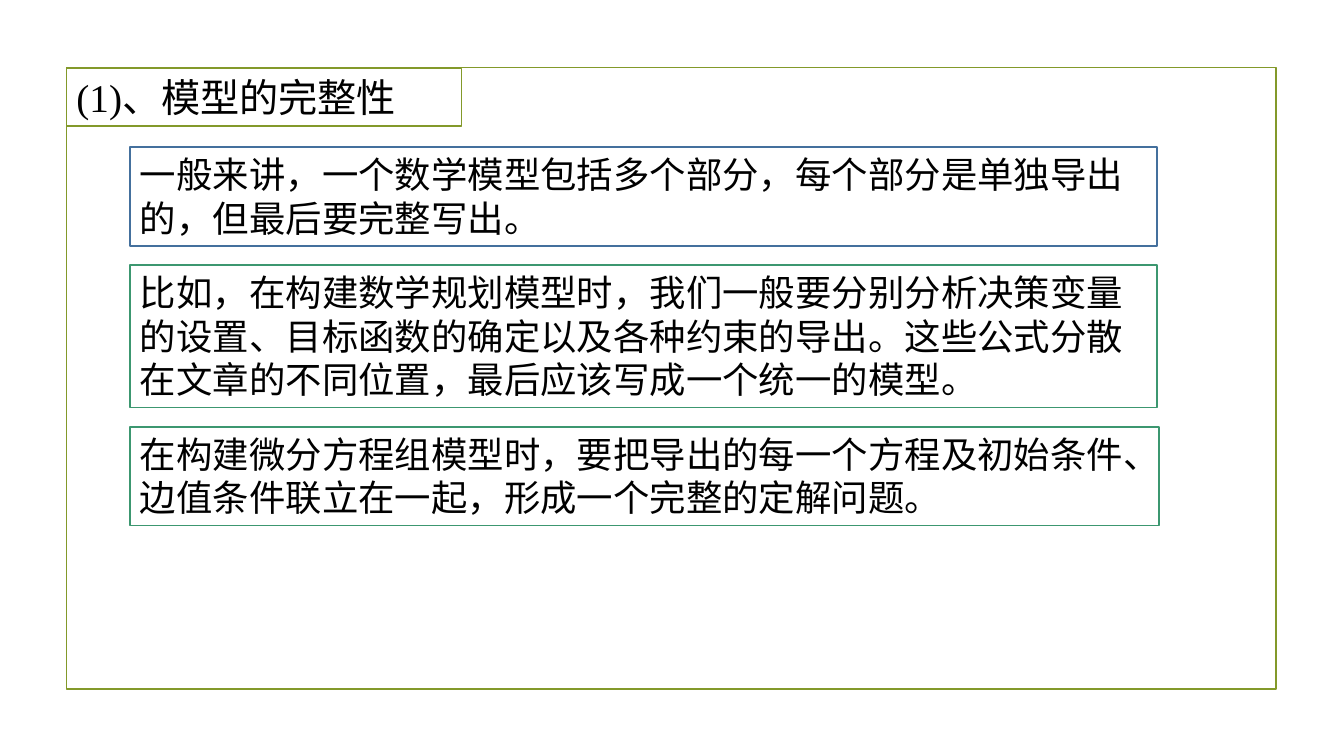
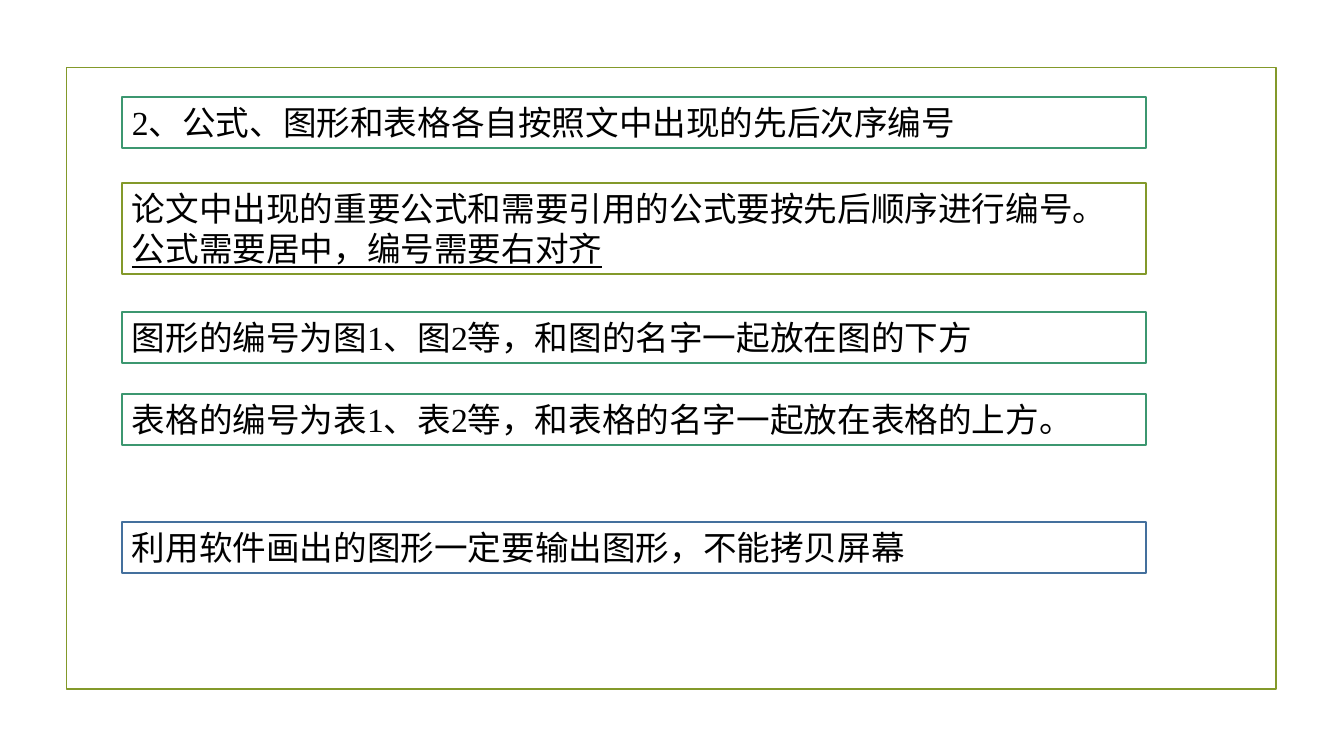
from dataclasses import dataclass

from lxml.etree import SubElement
from pptx import Presentation
from pptx.dml.color import RGBColor
from pptx.enum.shapes import MSO_SHAPE
from pptx.enum.text import MSO_ANCHOR, MSO_AUTO_SIZE, PP_ALIGN
from pptx.oxml.ns import qn
from pptx.util import Pt

COLORS = {
    "olive": "83992A",
    "blue": "44709D",
    "green": "3C9770",
    "white": "FFFFFF",
    "black": "000000",
}
LATIN_FONT = "Times New Roman"
CJK_FONT = "Noto Sans CJK JP"
LINE_WIDTH = 1.25
FRAME = (47.5, 48.2, 864, 444.2)
TEXT_FORMAT = {
    "word_wrap": True,
    "auto_size": MSO_AUTO_SIZE.SHAPE_TO_FIT_TEXT,
    "vertical_anchor": MSO_ANCHOR.TOP,
}


@dataclass(frozen=True)
class Span:
    text: str
    underline: bool = False


@dataclass(frozen=True)
class Note:
    top: float
    height: float
    line: str
    spans: tuple[Span, ...]
    left: float = 87.1
    width: float = 731.5
    size: float = 24
    font: str = LATIN_FONT


def color(name: str) -> RGBColor:
    return RGBColor.from_string(COLORS[name])


def add_outline(page, left: float, top: float, width: float, height: float, line: str):
    box = page.shapes.add_shape(
        MSO_SHAPE.RECTANGLE, Pt(left), Pt(top), Pt(width), Pt(height)
    )
    box.shadow.inherit = False
    box.fill.background()
    box.line.color.rgb = color(line)
    box.line.width = Pt(LINE_WIDTH)
    return box


def add_note(page, note: Note) -> None:
    box = add_outline(page, note.left, note.top, note.width, note.height, note.line)
    box.fill.solid()
    box.fill.fore_color.rgb = color("white")
    frame = box.text_frame
    for name, value in TEXT_FORMAT.items():
        setattr(frame, name, value)
    para = frame.paragraphs[0]
    para.alignment = PP_ALIGN.LEFT
    for span in note.spans:
        run = para.add_run()
        run.text = span.text
        font_format = {"name": note.font, "size": Pt(note.size)}
        if span.underline:
            font_format["underline"] = True
        for name, value in font_format.items():
            setattr(run.font, name, value)
        run.font.color.rgb = color("black")
        SubElement(run.font._element, qn("a:ea"), typeface=CJK_FONT)


def model_notes() -> list[Note]:
    notes = [
        Note(49, 41.2, "olive", (Span("(1)、模型的完整性"),), 47.5, 282.2, 28)
    ]
    top, gap = 105.1, 13.7
    for line, height, width, text in (
        ("blue", 70.6, 733.7,
         "一般来讲，一个数学模型包括多个部分，每个部分是单独导出的，但最后要完整写出。"),
        ("green", 101.7, 733.7,
         "比如，在构建数学规划模型时，我们一般要分别分析决策变量的设置、目标函数的确定以及各种约束的导出。"
         "这些公式分散在文章的不同位置，最后应该写成一个统一的模型。"),
        ("green", 70.6, 735.1,
         "在构建微分方程组模型时，要把导出的每一个方程及初始条件、边值条件联立在一起，形成一个完整的定解问题。"),
    ):
        notes.append(Note(top, height, line, (Span(text),), 92.9, width, 26))
        top += height + gap
    return notes


def numbering_notes() -> list[Note]:
    return [
        Note(69.5, 36.4, "green",
             (Span("2、公式、图形和表格各自按照文中出现的先后次序编号"),)),
        Note(130.6, 65.4, "olive",
             (Span("论文中出现的重要公式和需要引用的公式要按先后顺序进行编号。"),
              Span("公式需要居中，编号需要右对齐", underline=True))),
        Note(222.7, 36.4, "green",
             (Span("图形的编号为图1、图2等，和图的名字一起放在图的下方"),)),
        Note(281.4, 36.4, "green",
             (Span("表格的编号为表1、表2等，和表格的名字一起放在表格的上方。"),)),
        Note(372.7, 36.4, "blue",
             (Span("利用软件画出的图形一定要输出图形，不能拷贝屏幕"),), font=CJK_FONT),
    ]


def main() -> None:
    deck = Presentation()
    deck.slide_width = Pt(960)
    deck.slide_height = Pt(540)
    for notes in (model_notes(), numbering_notes()):
        page = deck.slides.add_slide(deck.slide_layouts[6])
        add_outline(page, *FRAME, "olive")
        for note in notes:
            add_note(page, note)
    deck.save("out.pptx")


if __name__ == "__main__":
    main()
